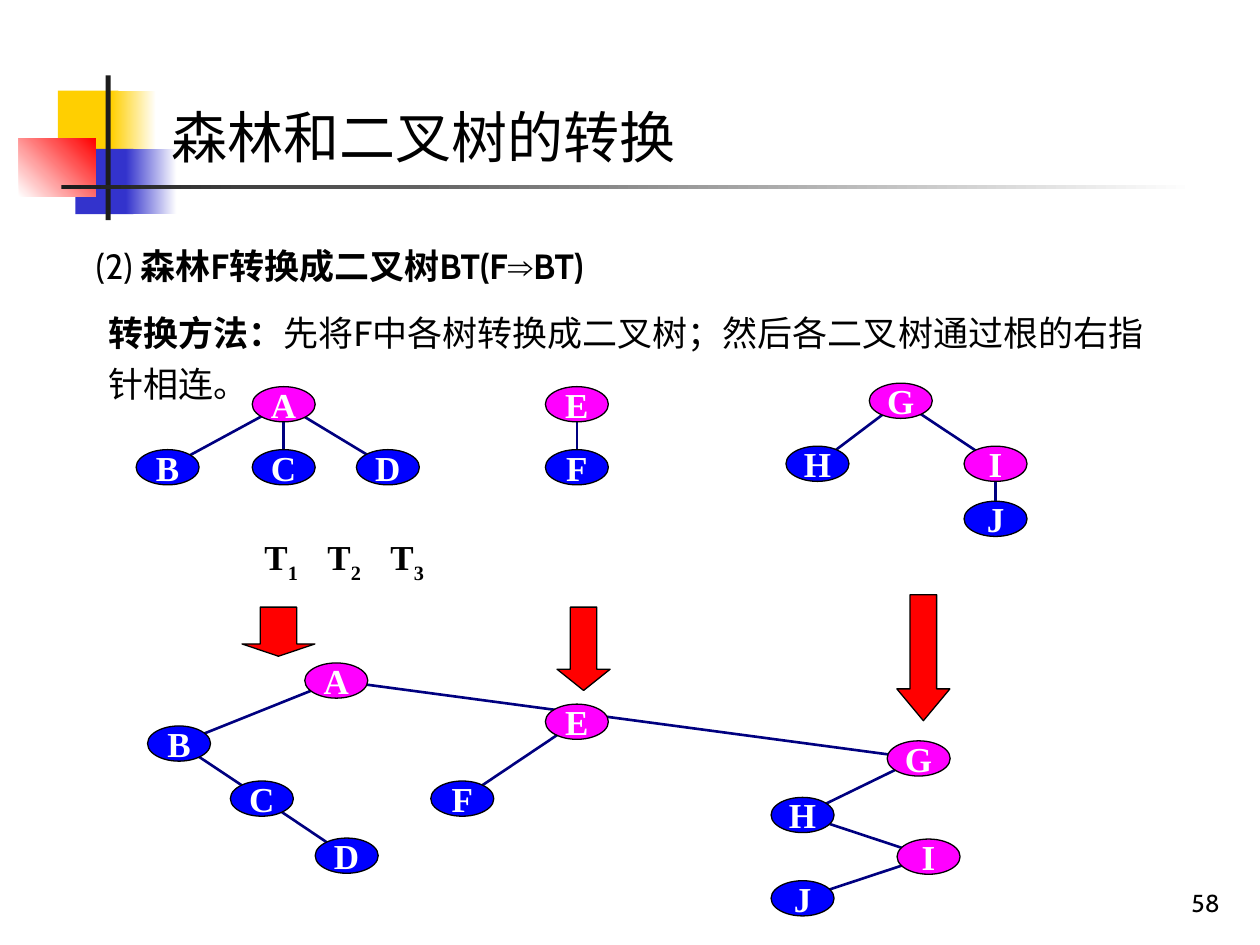
"""Build the slide on turning a forest into a binary tree."""
from lxml import etree
from pptx import Presentation
from pptx.dml.color import RGBColor
from pptx.enum.shapes import MSO_CONNECTOR, MSO_SHAPE
from pptx.enum.text import MSO_ANCHOR, MSO_AUTO_SIZE, PP_ALIGN
from pptx.oxml.ns import qn
from pptx.util import Cm, Pt

RECT, OVAL, ARROW = MSO_SHAPE.RECTANGLE, MSO_SHAPE.OVAL, MSO_SHAPE.DOWN_ARROW
LINE = MSO_CONNECTOR.STRAIGHT
TOP, MIDDLE, BOTTOM = MSO_ANCHOR.TOP, MSO_ANCHOR.MIDDLE, MSO_ANCHOR.BOTTOM
LEFT, CENTER, RIGHT = PP_ALIGN.LEFT, PP_ALIGN.CENTER, PP_ALIGN.RIGHT

THEME = {
    "gold": "FFCF01", "blue": "3333CC", "red": "FF0000", "dark": "1C1C1C",
    "white": "FFFFFF", "black": "000000", "root": "FF00FF", "leaf": "0000FF",
    "edge": "000080", "sans": "Cabin", "serif": "Times New Roman",
    "cjk": "Noto Sans CJK JP", "sign": "Arial",
    "head": Pt(32), "text": Pt(20), "page": Pt(14),
}

TITLE = [("森林和二叉树的转换", {"name": THEME["cjk"], "size": THEME["head"]})]
BOLD = {"bold": True}
TOPIC = [("(2) ", {}), ("森林F转换成二叉树BT(F", BOLD),
         ("⇒", {"bold": True, "name": THEME["sign"]}), ("BT)", BOLD)]
METHOD = [("转换方法：", BOLD),
          ("先将F中各树转换成二叉树；然后各二叉树通过根的右指针相连。", {})]
PAGE = [("58", {"size": THEME["page"]})]
LABEL = {"bold": True, "name": THEME["serif"]}
TREES = ["1", "2", "3"]
TABS = [6.1, 12.52]

DECOR = [
    ((1.17, 1.83, 1.22, 1.32), ["gold"], 0),
    ((2.24, 1.83, 0.91, 1.32), ["gold", "white"], 0),
    ((1.52, 3, 1.17, 1.32), ["blue"], 0),
    ((2.54, 3, 1.02, 1.32), ["blue", "white"], 0),
    ((0.38, 2.79, 1.55, 1.17), ["white", "red"], 45),
    ((2.13, 1.52, 0.1, 2.92), ["dark"], 0),
    ((1.24, 3.73, 22.86, 0.08), ["dark", "white"], 0),
]
ARROWS = [
    ((4.88, 12.24, 1.47, 0.99), 0.25),
    ((11.23, 12.24, 1.07, 1.68), 0.4),
    ((18.08, 11.99, 1.07, 2.54), 0.6),
]
FOREST = {
    "A": (5.72, 8.15, ""), "B": (3.38, 9.42, "A"), "C": (5.72, 9.42, "A"),
    "D": (7.82, 9.42, "A"), "E": (11.63, 8.15, ""), "F": (11.63, 9.42, "E"),
    "G": (18.16, 8.08, ""), "H": (16.48, 9.35, "G"), "I": (20.07, 9.35, "G"),
    "J": (20.07, 10.46, "I"),
}
BINARY = {
    "A": (6.78, 13.72, ""), "B": (3.61, 14.99, "A"), "C": (5.28, 16.1, "B"),
    "D": (6.99, 17.25, "C"), "E": (11.63, 14.55, ""), "F": (9.32, 16.1, "E"),
    "G": (18.52, 15.29, "A"), "H": (16.18, 16.43, "G"), "I": (18.72, 17.27, "H"),
    "J": (16.18, 18.11, "I"),
}
PARENTS = "AEGI"
NODE = (1.27, 0.71)


def tint(key):
    return RGBColor.from_string(THEME[key])


def write(shape, runs, color="black", para=None, tabs=(), **frame):
    text = shape.text_frame
    frame = {"word_wrap": True, "auto_size": MSO_AUTO_SIZE.NONE,
             "vertical_anchor": TOP, **frame}
    for key, value in frame.items():
        setattr(text, key, value)
    line = text.paragraphs[0]
    props = line._p.get_or_add_pPr()
    props.set("marL", "0")
    props.set("indent", "0")
    etree.SubElement(props, qn("a:buNone"))
    if tabs:
        stops = etree.SubElement(props, qn("a:tabLst"))
        for stop in tabs:
            etree.SubElement(stops, qn("a:tab"), pos=str(Cm(stop)), algn="l")
    for key, value in {"alignment": LEFT, "space_before": Pt(0), **(para or {})}.items():
        setattr(line, key, value)
    for words, style in runs:
        style = dict(style)
        base = style.pop("base", None)
        run = line.add_run()
        run.text = words
        look = {"name": THEME["sans"], "size": THEME["text"], "bold": False, **style}
        for key, value in look.items():
            setattr(run.font, key, value)
        run.font.color.rgb = tint(color)
        mark = run._r.get_or_add_rPr()
        etree.SubElement(mark, qn("a:ea"), typeface=THEME["cjk"])
        if base:
            mark.set("baseline", base)


def draw(slide, kind, box, colors, angle=0, edge=True):
    shape = slide.shapes.add_shape(kind, *map(Cm, box))
    shape.shadow.inherit = False
    if len(colors) > 1:
        shape.fill.gradient()
        shape.fill.gradient_angle = angle
        for stop, key in zip(shape.fill.gradient_stops, colors):
            stop.color.rgb = tint(key)
    else:
        shape.fill.solid()
        shape.fill.fore_color.rgb = tint(colors[0])
    if edge:
        shape.line.color.rgb = tint("black")
        shape.line.width = Pt(0.75)
    else:
        shape.line.fill.background()
    return shape


def plant(slide, nodes):
    for x, y, parent in nodes.values():
        if parent:
            start = nodes[parent][:2]
            link = slide.shapes.add_connector(LINE, *map(Cm, (*start, x, y)))
            link.line.color.rgb = tint("edge")
            link.line.width = Pt(1.5)
            etree.SubElement(link._element.spPr, qn("a:effectLst"))
    wide, high = NODE
    for name, (x, y, _) in nodes.items():
        color = "root" if name in PARENTS else "leaf"
        box = (x - wide / 2, y - high / 2, wide, high)
        write(draw(slide, OVAL, box, [color]), [(name, LABEL)], "white",
              {"alignment": CENTER}, word_wrap=False, vertical_anchor=MIDDLE)


def main():
    deck = Presentation()
    deck.slide_width, deck.slide_height = Cm(25.4), Cm(19.05)
    slide = deck.slides.add_slide(deck.slide_layouts[3])
    for box, colors, angle in DECOR:
        draw(slide, RECT, box, colors, angle, edge=False)

    holders = [
        ((3.2, 1.93, 22.2, 1.63), TITLE, {}),
        ((1.68, 4.8, 13.46, 1.12), TOPIC, {}),
        ((1.93, 5.99, 22.07, 2.29), METHOD, {"line_spacing": 1.2}),
    ]
    for shape, (box, runs, para) in zip(list(slide.placeholders), holders):
        shape.left, shape.top, shape.width, shape.height = map(Cm, box)
        write(shape, runs, para=para)
        shape.element.getparent().append(shape.element)

    page = slide.shapes.add_textbox(*map(Cm, (19.56, 17.35, 5.28, 1.27)))
    write(page, PAGE, para={"alignment": RIGHT}, vertical_anchor=BOTTOM)

    labels = []
    for spot, mark in enumerate(TREES):
        labels += [("\tT" if spot else "T", LABEL), (mark, {**LABEL, "base": "-30000"})]
    names = slide.shapes.add_textbox(*map(Cm, (5.08, 10.67, 15.52, 1.27)))
    write(names, labels, tabs=TABS)

    for nodes in (FOREST, BINARY):
        plant(slide, nodes)
    for box, head in ARROWS:
        draw(slide, ARROW, box, ["red"]).adjustments[1] = head
    deck.save("out.pptx")


if __name__ == "__main__":
    main()
